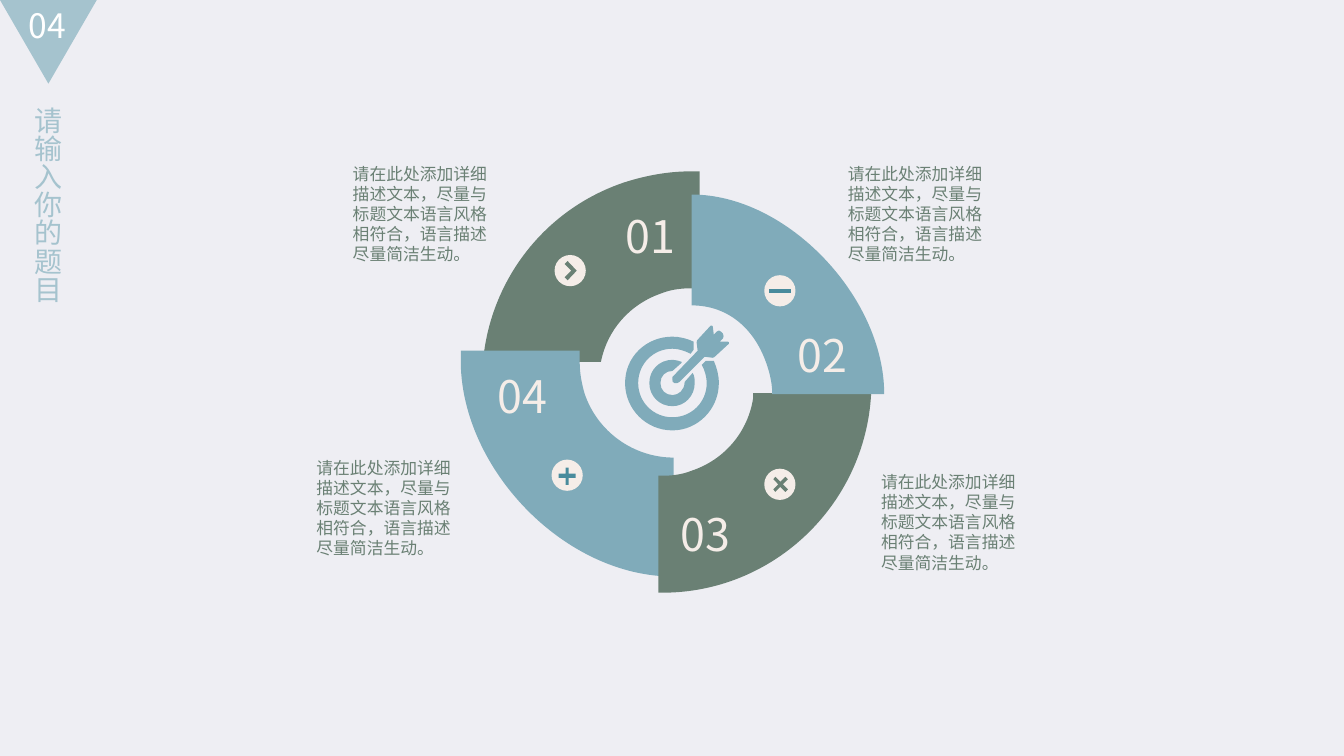
from lxml.etree import SubElement
from pptx import Presentation
from pptx.dml.color import RGBColor
from pptx.enum.shapes import MSO_SHAPE as Preset
from pptx.enum.text import MSO_AUTO_SIZE as AutoSize
from pptx.oxml.ns import qn
from pptx.util import Inches, Pt

COLORS = {
    "background": "EEEEF3",
    "header": "A5C3CE",
    "white": "FFFFFF",
    "green": "6A8074",
    "blue": "80ABBA",
    "deep_blue": "498B9C",
    "cream": "F5EDE8",
}
SC, JP = "Noto Sans CJK SC", "Noto Sans CJK JP"
CELL = Inches(0.1)
FINE = 100
DOT = 3.1
DESCRIPTION = "请在此处添加详细描述文本，尽量与标题文本语言风格相符合，语言描述尽量简洁生动。"


class CycleSlide:
    """Draws on one slide, with lengths in square grid cells of a tenth of an inch."""

    def __init__(self, presentation):
        self.slide = presentation.slides.add_slide(presentation.slide_layouts[6])
        self.paint(self.slide.background.fill, "background")

    def paint(self, fill, color):
        fill.solid()
        fill.fore_color.rgb = RGBColor.from_string(COLORS[color])

    def finish(self, shape, color):
        self.paint(shape.fill, color)
        shape.line.fill.background()
        shape.shadow.inherit = False
        return shape

    def preset(self, kind, left, top, width, height, color, rotation=0):
        box = [round(cells * CELL) for cells in (left, top, width, height)]
        shape = self.finish(self.slide.shapes.add_shape(kind, *box), color)
        shape.rotation = rotation

    def outline(self, color, start, *steps):
        points = [
            (round(step[i] * FINE), round(step[i + 1] * FINE))
            for step in (start, *steps) for i in range(0, len(step), 2)]
        builder = self.slide.shapes.build_freeform(*points[0], scale=CELL / FINE)
        builder.add_line_segments(points[1:], close=True)
        shape = self.finish(builder.convert_to_shape(), color)
        segments = iter(list(shape.element.iter(qn("a:lnTo"))))
        for step in steps:
            segment = next(segments)
            if len(step) == 6:
                curve = SubElement(segment.getparent(), qn("a:cubicBezTo"))
                segment.addprevious(curve)
                for part in (segment, next(segments), next(segments)):
                    curve.append(part[0])
                    part.getparent().remove(part)

    def text(self, words, left, top, width, height, size, color, font=SC, vertical=False):
        box = [round(cells * CELL) for cells in (left, top, width, height)]
        shape = self.slide.shapes.add_textbox(*box)
        frame = shape.text_frame
        frame.word_wrap = not vertical
        frame.auto_size = AutoSize.SHAPE_TO_FIT_TEXT
        if vertical:
            shape.element.txBody.bodyPr.set("vert", "eaVert")
        paragraph = frame.paragraphs[0]
        paragraph.text = words
        paragraph.font.size = Pt(size)
        paragraph.font.color.rgb = RGBColor.from_string(COLORS[color])
        paragraph.font.name = font
        SubElement(paragraph.font._rPr, qn("a:ea")).set("typeface", font)

    def header(self, number, title):
        self.preset(Preset.ISOSCELES_TRIANGLE, 0, 0, 9.6, 8.3, "header", rotation=180)
        self.text(number, 1.85, 0, 7, 5, 24, "white")
        self.text(title, 1.5, 9.65, 5.4, 20.6, 20, "header", vertical=True)

    def ring(self):
        self.outline(
            "green", (68.6, 28.6), (67.6, 28.6, 66.6, 28.7, 65.6, 29.1),
            (62.4, 30.2, 60.2, 32.8, 59.6, 35.9), (47.9, 35.9),
            (48.6, 27.9, 53.9, 20.8, 61.9, 18.1), (64.1, 17.4, 66.3, 17, 68.5, 17),
            (69.4, 17), (69.4, 28.6))
        self.outline(
            "blue", (57.5, 36), (57.5, 37, 57.7, 38.1, 58, 39.1),
            (59.3, 42.9, 62.9, 45.4, 66.8, 45.4), (66.8, 57.2),
            (56, 57.2, 45.9, 46.6, 45.7, 36.1), (45.7, 34.8), (57.5, 34.8))
        self.outline(
            "green", (74.7, 39), (76.6, 39), (76.6, 39.1), (86.4, 39.1),
            (85.8, 50.1, 76.7, 58.8, 65.7, 58.8), (65.3, 58.8), (65.3, 47.2), (65.6, 47.2),
            (66.6, 47.2, 67.6, 47.1, 68.6, 46.7), (71.9, 45.6, 74.2, 42.8, 74.7, 39.5))
        self.outline(
            "blue", (76.6, 39.1), (76.6, 38.2, 76.4, 37.2, 76.1, 36.3),
            (74.9, 32.6, 72.2, 30.3, 68.6, 30.3), (68.6, 19.3),
            (78.1, 19.3, 87.7, 29.5, 87.7, 39.1))

    def target(self):
        self.outline(
            "blue", (66.7, 42.7), (69.2, 42.7, 71.3, 40.6, 71.3, 38),
            (71.3, 37.2, 71.1, 36.5, 70.8, 35.8), (70, 35.8), (69.6, 36.2),
            (69.9, 36.7, 70.1, 37.4, 70.1, 38), (70.1, 39.9, 68.6, 41.4, 66.7, 41.4),
            (64.8, 41.4, 63.3, 39.9, 63.3, 38), (63.3, 36.1, 64.8, 34.6, 66.7, 34.6),
            (67.3, 34.6, 67.9, 34.8, 68.5, 35.1), (68.8, 34.7), (68.8, 33.9),
            (68.2, 33.6, 67.4, 33.4, 66.7, 33.4), (64.1, 33.4, 62, 35.4, 62, 38),
            (62, 40.6, 64.1, 42.7, 66.7, 42.7))
        self.outline(
            "blue", (66.7, 36.8), (67.6, 36), (67.6, 35.9),
            (67.3, 35.8, 67, 35.7, 66.7, 35.7), (65.4, 35.7, 64.4, 36.7, 64.4, 38),
            (64.4, 39.3, 65.4, 40.3, 66.7, 40.3), (67.9, 40.3, 68.9, 39.3, 68.9, 38),
            (68.9, 37.7, 68.9, 37.3, 68.7, 37), (67.9, 37.9),
            (67.9, 38.7, 67.3, 39.2, 66.7, 39.2), (66, 39.2, 65.5, 38.7, 65.5, 38),
            (65.5, 37.3, 66, 36.8, 66.7, 36.8))
        self.outline(
            "blue", (71.4, 33.9), (71.7, 33.6), (71.8, 33.5, 71.8, 33.2, 71.7, 33.1),
            (71.5, 32.9), (71.5, 32.9, 71.4, 32.8, 71.3, 32.8),
            (71.2, 32.8, 71.2, 32.9, 71.1, 32.9), (70.8, 33.2), (70.7, 32.4),
            (70.7, 32.3, 70.6, 32.3, 70.5, 32.3), (69.3, 33.6),
            (69.1, 33.7, 69.1, 33.9, 69.1, 34), (69.2, 34.8), (66.8, 37.3),
            (66.7, 37.3, 66.7, 37.4, 66.7, 37.4), (66.7, 37.7),
            (66.6, 37.8, 66.8, 38, 66.9, 38), (67.2, 38), (67.4, 37.9),
            (69.9, 35.4), (70.7, 35.5), (70.8, 35.5, 70.9, 35.4, 71, 35.3),
            (72.3, 34.1), (72.3, 34, 72.3, 33.9, 72.2, 33.9))

    def badges(self):
        for left, top in ((75.8, 46.5), (75.8, 27.3), (55, 25.3), (54.7, 45.6)):
            self.preset(Preset.OVAL, left, top, DOT, DOT, "cream")
        self.outline("green", (77.9, 47.3), (77.4, 47.8), (76.9, 47.3), (76.7, 47.55),
                     (77.2, 48.05), (76.7, 48.55), (76.9, 48.8), (77.4, 48.3),
                     (77.9, 48.8), (78.15, 48.55), (77.65, 48.05), (78.15, 47.55))
        self.outline("deep_blue", (76.3, 28.7), (78.5, 28.7), (78.5, 29.1), (76.3, 29.1))
        self.outline("green", (56.3, 25.9), (57.2, 26.85), (56.3, 27.8),
                     (56, 27.5), (56.65, 26.85), (56, 26.2))
        self.outline("deep_blue", (56.4, 46.4), (56.1, 46.4), (56.1, 47), (55.4, 47),
                     (55.4, 47.4), (56.1, 47.4), (56.1, 48.1), (56.4, 48.1),
                     (56.4, 47.4), (57.1, 47.4), (57.1, 47), (56.4, 47))

    def labels(self):
        for number, left, top in (("01", 61.1, 20.2), ("02", 78.1, 32),
                                  ("03", 66.5, 49.8), ("04", 48.4, 36.1)):
            self.text(number, left, top, 8.7, 6.4, 32, "cream", JP)
        for left, top in ((34, 15.7), (83.1, 15.7), (86.4, 46.3), (30.4, 44.9)):
            self.text(DESCRIPTION, left, top, 16.5, 11.1, 12, "green")


def main():
    presentation = Presentation()
    presentation.slide_width = Inches(13.33)
    presentation.slide_height = Inches(7.5)
    cycle = CycleSlide(presentation)
    cycle.header("04", "请输入你的题目")
    cycle.ring()
    cycle.target()
    cycle.badges()
    cycle.labels()
    presentation.save("out.pptx")


if __name__ == "__main__":
    main()
